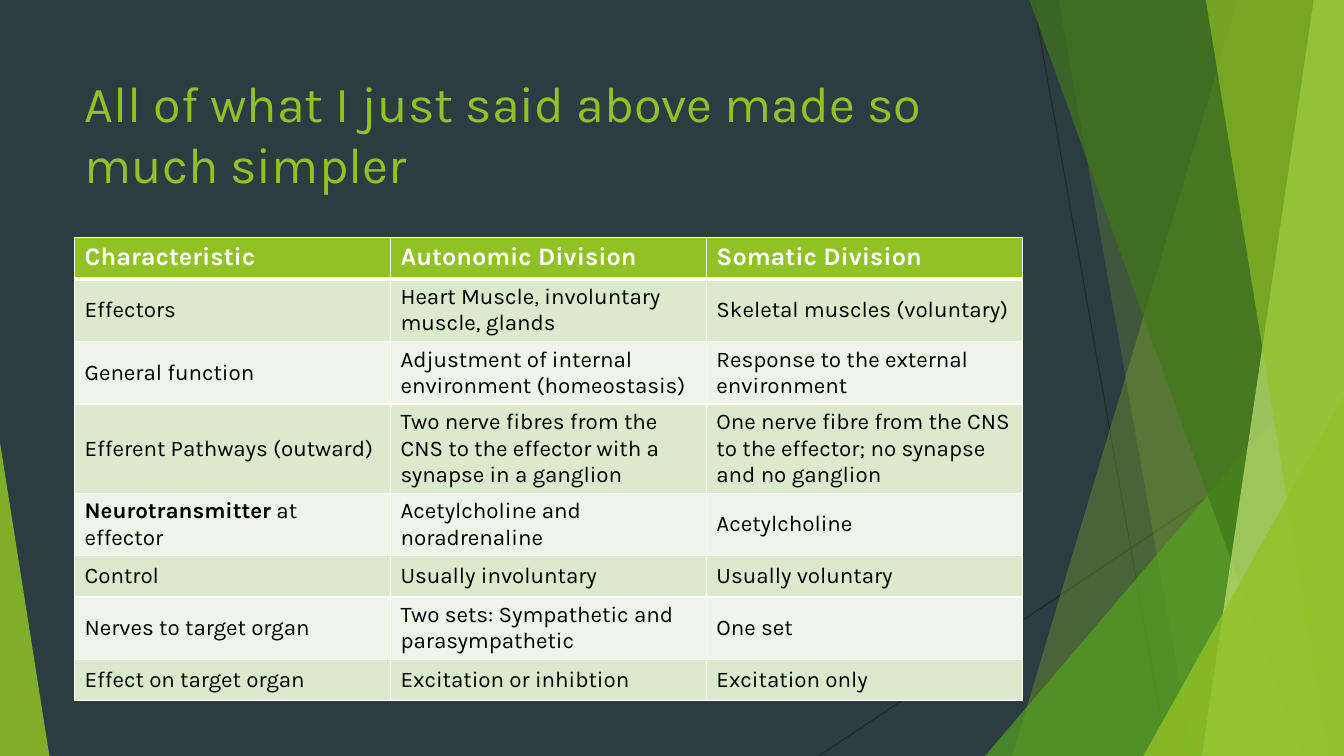
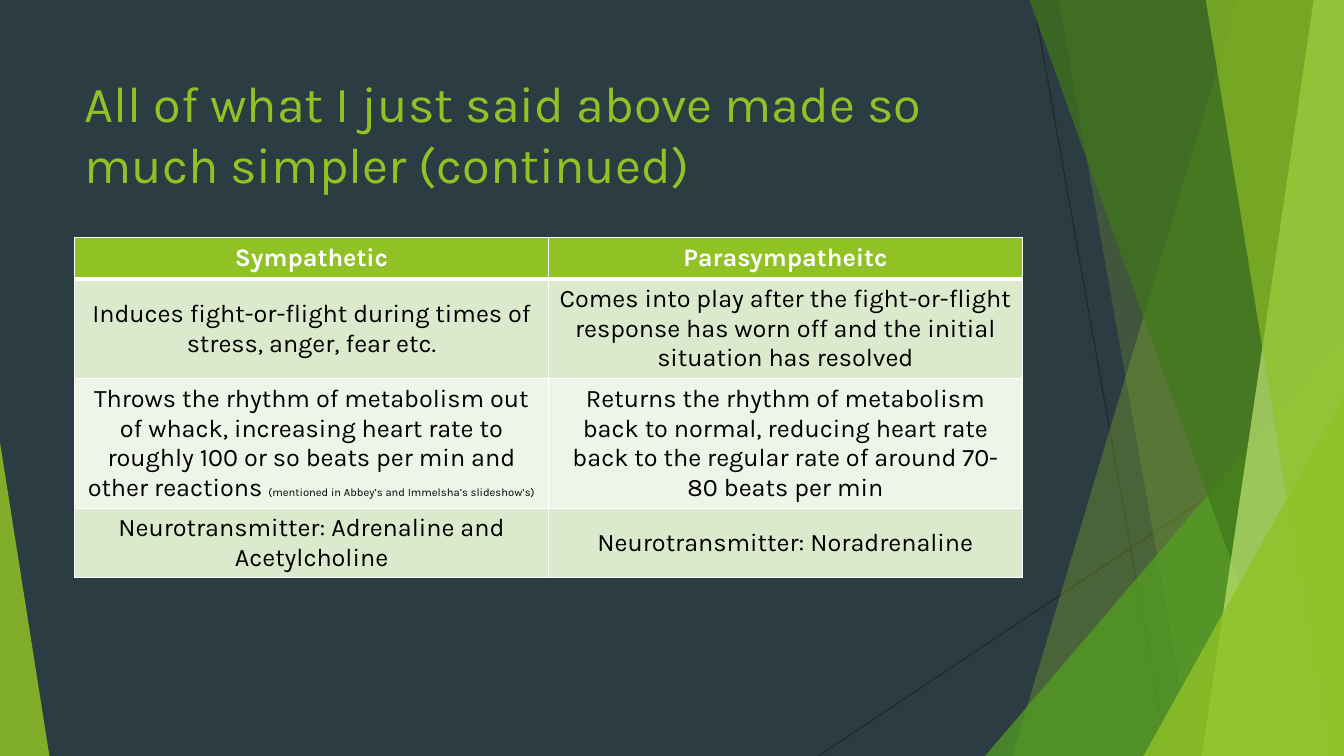
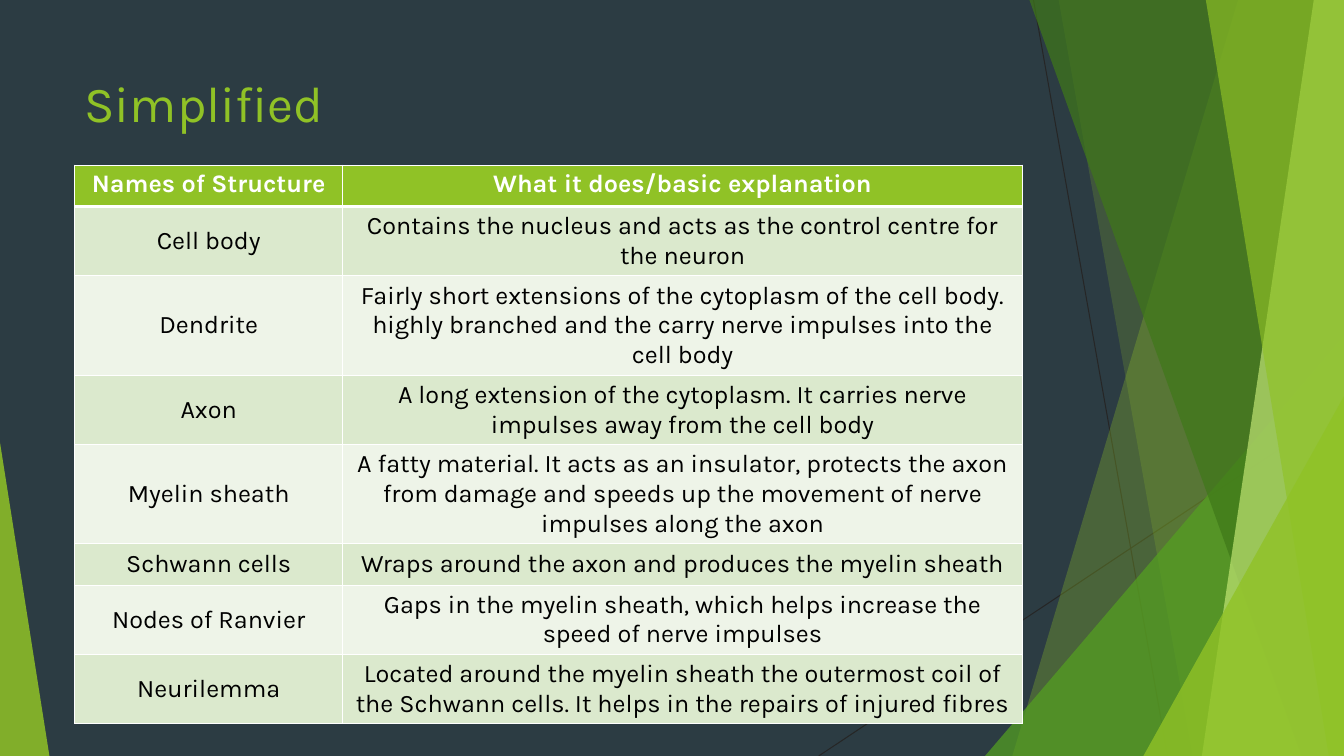
from lxml.etree import SubElement
from pptx import Presentation
from pptx.dml.color import RGBColor
from pptx.enum.shapes import MSO_CONNECTOR, MSO_SHAPE
from pptx.enum.text import MSO_ANCHOR, PP_ALIGN
from pptx.oxml.ns import qn
from pptx.util import Inches, Pt

WIDTH, HEIGHT = 13.33, 7.5
LEFT, CONTENT_WIDTH, ROW_HEIGHT = 0.74, 9.4, 0.41
FONT = "Karla"
BACKGROUND, LIME, GREEN, DARK_GREEN, PALE_LIME = "2C3C43", "90C226", "54A021", "3F7819", "C0E474"
LINE, WHITE, BLACK = "262626", "FFFFFF", "000000"
BAND_COLOURS = ("DBE9CD", "EEF4E8")

RAYS = [(10.25, 0, 11.58, HEIGHT), (WIDTH, 4.03, 8.12, HEIGHT)]
BACK_PANELS = [(12.28, 10.04, LIME, 30), (10.5, 11.83, LIME, 20)]
FRONT_PANELS = [(10.21, 12.91, DARK_GREEN, 70), (13.03, 11.92, PALE_LIME, 70), (11.96, 13.18, LIME, 65)]
BACK_TRIANGLE = (9.77, 3.33, 3.56, 4.17, 1, GREEN, 72)
FRONT_TRIANGLES = [(11.34, 3.93, 1.99, 3.57, 1, LIME, 80), (0, 4.39, 0.49, 3.11, 0, LIME, 85)]

DIVISIONS = [
    ["Characteristic", "Autonomic Division", "Somatic Division"],
    ["Effectors", "Heart Muscle, involuntary muscle, glands", "Skeletal muscles (voluntary)"],
    ["General function", "Adjustment of internal environment (homeostasis)",
     "Response to the external environment"],
    ["Efferent Pathways (outward)", "Two nerve fibres from the CNS to the effector with a synapse in a ganglion",
     "One nerve fibre from the CNS to the effector; no synapse and no ganglion"],
    [[("Neurotransmitter", {"bold": True}), (" at effector", {})], "Acetylcholine and noradrenaline",
     "Acetylcholine"],
    ["Control", "Usually involuntary", "Usually voluntary"],
    ["Nerves to target organ", "Two sets: Sympathetic and parasympathetic", "One set"],
    ["Effect on target organ", "Excitation or inhibtion", "Excitation only"],
]
RESPONSES = [
    ["Sympathetic", "Parasympatheitc"],
    ["Induces fight-or-flight during times of stress, anger, fear etc.",
     "Comes into play after the fight-or-flight response has worn off and the initial situation has resolved"],
    [[("Throws the rhythm of metabolism out of whack, increasing heart rate to roughly 100 or so beats per min "
       "and other reactions ", {}),
      ("(mentioned in Abbey’s and Immelsha’s slideshow’s)", {"size": Pt(8)})],
     "Returns the rhythm of metabolism back to normal, reducing heart rate back to the regular rate of around "
     "70-80 beats per min"],
    ["Neurotransmitter: Adrenaline and Acetylcholine", "Neurotransmitter: Noradrenaline"],
]
STRUCTURES = [
    ["Names of Structure", "What it does/basic explanation"],
    ["Cell body", "Contains the nucleus and acts as the control centre for the neuron"],
    ["Dendrite", "Fairly short extensions of the cytoplasm of the cell body. highly branched and the carry nerve "
     "impulses into the cell body"],
    ["Axon", "A long extension of the cytoplasm. It carries nerve impulses away from the cell body"],
    ["Myelin sheath", "A fatty material. It acts as an insulator, protects the axon from damage and speeds up the "
     "movement of nerve impulses along the axon"],
    ["Schwann cells", "Wraps around the axon and produces the myelin sheath"],
    ["Nodes of Ranvier", "Gaps in the myelin sheath, which helps increase the speed of nerve impulses"],
    ["Neurilemma", "Located around the myelin sheath the outermost coil of the Schwann cells. It helps in the "
     "repairs of injured fibres"],
]


def paint(fill, colour, opacity=100):
    """Apply a solid colour with an opacity in percent."""
    fill.solid()
    fill.fore_color.rgb = RGBColor.from_string(colour)
    if opacity < 100:
        colour_node = fill._xPr.find(qn("a:solidFill"))[0]
        SubElement(colour_node, qn("a:alpha"), val=str(opacity * 1000))


def finish(shape, colour, opacity):
    """Give a decorative shape its fill, without outline or shadow."""
    paint(shape.fill, colour, opacity)
    shape.line.fill.background()
    shape.shadow.inherit = False


def add_ray(shapes, x1, y1, x2, y2):
    """Draw one thin dark line."""
    ray = shapes.add_connector(MSO_CONNECTOR.STRAIGHT, Inches(x1), Inches(y1), Inches(x2), Inches(y2))
    paint(ray.line.fill, LINE)
    ray.line.width = Pt(0.75)
    SubElement(ray._element.spPr, qn("a:effectLst"))


def add_panel(shapes, top_x, bottom_x, colour, opacity):
    """Fill the area from a slanted edge to the right side of the slide."""
    corners = [(WIDTH, 0), (WIDTH, HEIGHT), (bottom_x, HEIGHT)]
    outline = shapes.build_freeform(Inches(top_x), 0)
    outline.add_line_segments([(Inches(x), Inches(y)) for x, y in corners], close=True)
    finish(outline.convert_to_shape(), colour, opacity)


def add_triangle(shapes, left, top, width, height, apex, colour, opacity):
    """Draw a triangle with its apex at a share of the width."""
    triangle = shapes.add_shape(MSO_SHAPE.ISOSCELES_TRIANGLE, Inches(left), Inches(top), Inches(width), Inches(height))
    triangle.adjustments[0] = apex
    finish(triangle, colour, opacity)


def add_decoration(page):
    """Place the overlapping green facets as one group."""
    shapes = page.shapes.add_group_shape().shapes
    for ray in RAYS:
        add_ray(shapes, *ray)
    for panel in BACK_PANELS:
        add_panel(shapes, *panel)
    add_triangle(shapes, *BACK_TRIANGLE)
    for panel in FRONT_PANELS:
        add_panel(shapes, *panel)
    for triangle in FRONT_TRIANGLES:
        add_triangle(shapes, *triangle)


def style_font(font, size, colour, bold=False):
    """Set the shared typeface with a size, colour and weight."""
    font.name, font.size, font.bold = FONT, Pt(size), bold
    font.color.rgb = RGBColor.from_string(colour)


def add_title(page, text, left, top, width, height):
    """Place the slide title."""
    box = page.shapes.add_textbox(Inches(left), Inches(top), Inches(width), Inches(height))
    box.text_frame.word_wrap = True
    para = box.text_frame.paragraphs[0]
    para.text = text
    style_font(para.font, 36, LIME)


def add_borders(cell, row):
    """Outline a cell in white, with a heavy rule under the header."""
    properties = cell._tc.get_or_add_tcPr()
    heavy_side = {0: "lnB", 1: "lnT"}.get(row)
    for side in ("lnL", "lnR", "lnT", "lnB"):
        width = Pt(3 if side == heavy_side else 1)
        border = SubElement(properties, qn(f"a:{side}"), w=str(width))
        SubElement(SubElement(border, qn("a:solidFill")), qn("a:srgbClr"), val=WHITE)


def fill_cell(cell, content, row, size, align, anchor):
    """Write one table cell from a text or a list of styled spans."""
    header = row == 0
    add_borders(cell, row)
    paint(cell.fill, LIME if header else BAND_COLOURS[(row - 1) % 2])
    cell.vertical_anchor = anchor
    cell.margin_top = cell.margin_bottom = Pt(3.1)
    para = cell.text_frame.paragraphs[0]
    para.alignment = align
    style_font(para.font, 18 if header else size, WHITE if header else BLACK, header)
    for text, overrides in [(content, {})] if isinstance(content, str) else content:
        span = para.add_run()
        span.text = text
        for name, value in overrides.items():
            setattr(span.font, name, value)


def add_grid(page, rows, left, top, widths, size=18, align=PP_ALIGN.CENTER, header_anchor=MSO_ANCHOR.TOP):
    """Place a banded table whose rows grow with their text."""
    frame = page.shapes.add_table(len(rows), len(widths), Inches(left), Inches(top),
                                  Inches(sum(widths)), Inches(ROW_HEIGHT * len(rows)))
    table = frame.table
    table.horz_banding = False
    for column, width in zip(table.columns, widths):
        column.width = Inches(width)
    for row, contents in enumerate(rows):
        anchor = MSO_ANCHOR.MIDDLE if row else header_anchor
        for column, content in enumerate(contents):
            fill_cell(table.cell(row, column), content, row, size, align, anchor)


def add_table_slide(deck, title, rows, top, widths, **options):
    """Add a decorated slide with a title and a table."""
    page = deck.slides.add_slide(deck.slide_layouts[6])
    paint(page.background.fill, BACKGROUND)
    add_decoration(page)
    add_title(page, title, LEFT, 0.67, CONTENT_WIDTH, 1.44)
    add_grid(page, rows, LEFT, top, widths, **options)


def main():
    """Build and save the deck."""
    deck = Presentation()
    deck.slide_width, deck.slide_height = Inches(WIDTH), Inches(HEIGHT)
    title = "All of what I just said above made so much simpler"
    add_table_slide(deck, title, DIVISIONS, 2.36, [CONTENT_WIDTH / 3] * 3, size=16, align=PP_ALIGN.LEFT)
    add_table_slide(deck, f"{title} (continued)", RESPONSES, 2.36, [CONTENT_WIDTH / 2] * 2,
                    header_anchor=MSO_ANCHOR.MIDDLE)
    add_table_slide(deck, "Simplified", STRUCTURES, 1.64, [2.66, 6.74])
    deck.save("out.pptx")


if __name__ == "__main__":
    main()
